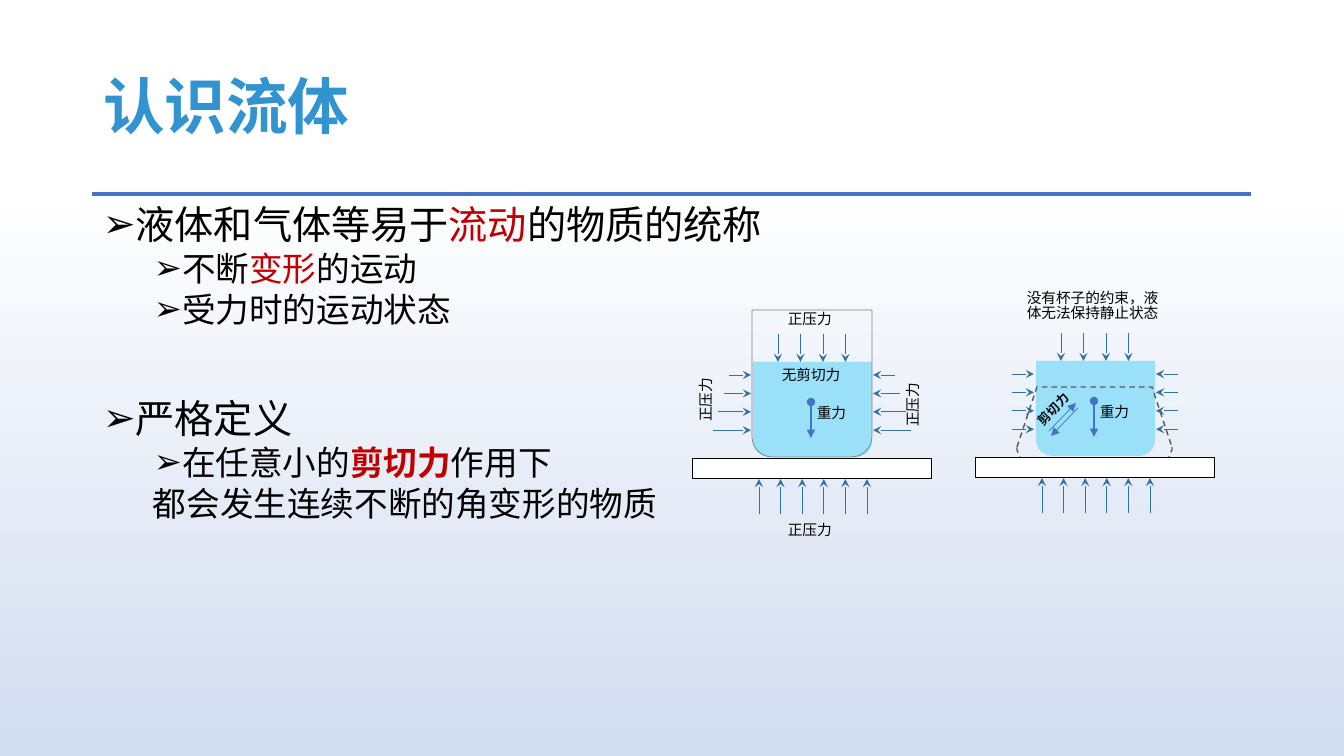
from math import cos, pi, sin

from lxml.etree import SubElement
from pptx import Presentation
from pptx.dml.color import RGBColor
from pptx.enum.dml import MSO_LINE
from pptx.enum.shapes import MSO_CONNECTOR, MSO_SHAPE
from pptx.enum.text import MSO_ANCHOR, MSO_AUTO_SIZE, PP_ALIGN
from pptx.oxml.ns import qn
from pptx.util import Pt

PX = 914400 / 100.8  # EMU per px
FONT = "Noto Sans CJK SC"
BLACK = RGBColor(0x00, 0x00, 0x00)
WHITE = RGBColor(0xFF, 0xFF, 0xFF)
RED = RGBColor(0xC0, 0x00, 0x00)
TITLE_BLUE = RGBColor(0x31, 0x93, 0xCF)
RULE_BLUE = RGBColor(0x44, 0x72, 0xC4)
ARROW_BLUE = RGBColor(0x32, 0x73, 0xA3)
WATER = RGBColor(0x9A, 0xE0, 0xF9)
CUP_GREY = RGBColor(0x80, 0x80, 0x80)
SPILL_GREY = RGBColor(0x59, 0x59, 0x59)
SKY = RGBColor(0xD1, 0xDC, 0xF0)

# Content
TITLE = "认识流体"
# runs as (text, color, bold); size, left indent, hanging, space before, bullet
BODY = [
    ([("液体和气体等易于", BLACK, False), ("流动", RED, False),
      ("的物质的统称", BLACK, False)], 28, 25, 25, 0, True),
    ([("不断", BLACK, False), ("变形", RED, False),
      ("的运动", BLACK, False)], 24, 76, 25, 5, True),
    ([("受力时的运动状态", BLACK, False)], 24, 76, 25, 5, True),
    ([("严格定义", BLACK, False)], 28, 25, 25, 52, True),
    ([("在任意小的", BLACK, False), ("剪切力", RED, True),
      ("作用下", BLACK, False)], 24, 76, 25, 5, True),
    ([("都会发生连续不断的角变形的物质", BLACK, False)], 24, 50, 0, 5, False),
]
# text, left, top, width, height, rotation, format
LABELS = [
    ("正压力", 778, 308, 65, 28, 0, {}),
    ("正压力", 778, 519, 65, 28, 0, {}),
    ("正压力", 883, 390, 65, 28, 270, {}),
    ("正压力", 676, 385, 65, 28, 270, {}),
    ("无剪切力", 772, 364, 80, 28, 0, {}),
    ("重力", 807, 402, 50, 28, 0, {}),
    ("重力", 1090, 401, 50, 28, 0, {}),
    ("没有杯子的约束，液体无法保持静止状态", 1017, 287, 153, 45, 0, {"wrap": True}),
    ("剪切力", 1026, 398, 58, 25, 313.4, {"size": 9, "bold": True}),
]
# horizontal offset, vertical offset, has cup, growth of side arrows per row
VESSELS = [(0, 0, True, 5.4), (283, -1, False, 0)]
SHEAR = [(1049, 431, 1076, 403), (1078, 408, 1051, 436)]

prs = Presentation()
prs.slide_width, prs.slide_height = round(1344 * PX), round(756 * PX)
s = prs.slides.add_slide(prs.slide_layouts[5])


def emu(*lengths):
    return [round(v * PX) for v in lengths]


def add_run(p, text, size=10.5, color=BLACK, bold=False):
    r = p.add_run()
    r.text = text
    r.font.size, r.font.bold, r.font.name = Pt(size), bold, FONT
    r.font.color.rgb = color
    SubElement(r._r.get_or_add_rPr(), qn("a:ea"), typeface=FONT)


def add_text(text, x, y, w, h, rotation=0, wrap=False, **fmt):
    sp = s.shapes.add_textbox(*emu(x, y, w, h))
    sp.rotation = rotation
    sp.text_frame.word_wrap = wrap
    p = sp.text_frame.paragraphs[0]
    p.line_spacing = 0.84
    add_run(p, text, **fmt)


def add_line(x1, y1, x2, y2, color=ARROW_BLUE, width=0.5, head=None, tail="stealth"):
    c = s.shapes.add_connector(MSO_CONNECTOR.STRAIGHT, *emu(x1, y1, x2, y2))
    c.line.color.rgb, c.line.width = color, Pt(width)
    ln = c.line._get_or_add_ln()
    for tag, kind in (("a:headEnd", head), ("a:tailEnd", tail)):
        if kind:
            SubElement(ln, qn(tag), type=kind)
    SubElement(c._element.spPr, qn("a:effectLst"))


def style(sp, fill=None, line=None, width=0.5):
    sp.shadow.inherit = False
    if fill is None:
        sp.fill.background()
    else:
        sp.fill.solid()
        sp.fill.fore_color.rgb = fill
    if line is None:
        sp.line.fill.background()
    else:
        sp.line.color.rgb, sp.line.width = line, Pt(width)


def add_vessel(x, y, w, h, corner, **fmt):
    sp = s.shapes.add_shape(MSO_SHAPE.ROUND_2_SAME_RECTANGLE, *emu(x, y, w, h))
    sp.adjustments[0], sp.adjustments[1] = 0, corner
    style(sp, **fmt)


def add_dashed(points):
    fb = s.shapes.build_freeform(*points[0], scale=PX)
    fb.add_line_segments(points[1:], close=False)
    sp = fb.convert_to_shape()
    style(sp, line=SPILL_GREY, width=1)
    sp.line.dash_style = MSO_LINE.DASH


# Background and rule
fill = s.background.fill
fill.gradient()
fill.gradient_angle = 270
for stop, color, position in zip(fill.gradient_stops, (WHITE, SKY), (0.24, 1)):
    stop.color.rgb, stop.position = color, position
add_line(92, 194, 1251, 194, color=RULE_BLUE, width=3.5, tail=None)

# Title
title = s.shapes.title
title.left, title.top, title.width, title.height = emu(93, 37, 1159, 146)
tf = title.text_frame
tf.auto_size, tf.vertical_anchor = MSO_AUTO_SIZE.NONE, MSO_ANCHOR.MIDDLE
p = tf.paragraphs[0]
p.alignment, p.line_spacing = PP_ALIGN.LEFT, 0.9
add_run(p, TITLE, size=44, color=TITLE_BLUE, bold=True)

# Body
tf = s.shapes.add_textbox(*emu(93, 203, 1159, 480)).text_frame
tf.word_wrap = True
for i, (runs, size, left, hanging, before, bullet) in enumerate(BODY):
    p = tf.add_paragraph() if i else tf.paragraphs[0]
    pPr = p._p.get_or_add_pPr()
    pPr.set("marL", str(round(left * PX)))
    pPr.set("indent", str(-round(hanging * PX)))
    if bullet:
        SubElement(pPr, qn("a:buFont"), typeface="Arial")
        SubElement(pPr, qn("a:buChar"), char="➢")
    p.line_spacing, p.space_before = 0.84, Pt(before)
    for text, color, bold in runs:
        add_run(p, text, size=size, color=color, bold=bold)

# Vessels with their pressure and gravity arrows
for dx, dy, has_cup, growth in VESSELS:
    add_vessel(753 + dx, 362 + dy, 119, 95, 0.17, fill=WATER)
    if has_cup:
        add_vessel(752 + dx, 310 + dy, 120, 147, 0.17, line=CUP_GREY)
    for i in range(4):
        x, y = 778 + 22.5 * i + dx, 375 + 18.4 * i + dy
        length = 22 + growth * i
        add_line(x, 334 + dy, x, 362 + dy)
        add_line(873 + length + dx, y, 873 + dx, y)
        add_line(751 - length + dx, y, 751 + dx, y)
    for i in range(6):
        x = 759 + 21.6 * i + dx
        add_line(x, 514 + dy, x, 479 + dy)
    add_line(811 + dx, 402 + dy, 811 + dx, 438 + dy,
             color=RULE_BLUE, width=1, head="oval", tail="triangle")

# Spilling outline and shear arrows
turns = [pi / 2 * i / 6 for i in range(7)]
right = [(1166 + 6 * cos(t), 447 + 11 * sin(t)) for t in turns]
left = [(1023 - 6 * cos(t), 447 + 11 * sin(t)) for t in reversed(turns)]
add_dashed(right + left)
add_dashed([(1017, 447), (1037, 387), (1152, 387), (1172, 447)])
for ends in SHEAR:
    add_line(*ends, color=RULE_BLUE, tail="triangle")

# Tables under the vessels
for dx, dy, *_ in VESSELS:
    sp = s.shapes.add_shape(MSO_SHAPE.RECTANGLE, *emu(692 + dx, 458 + dy, 239, 20))
    style(sp, fill=WHITE, line=BLACK, width=0.25)

# Labels
for text, x, y, w, h, rotation, fmt in LABELS:
    add_text(text, x, y, w, h, rotation=rotation, **fmt)

prs.save("out.pptx")
